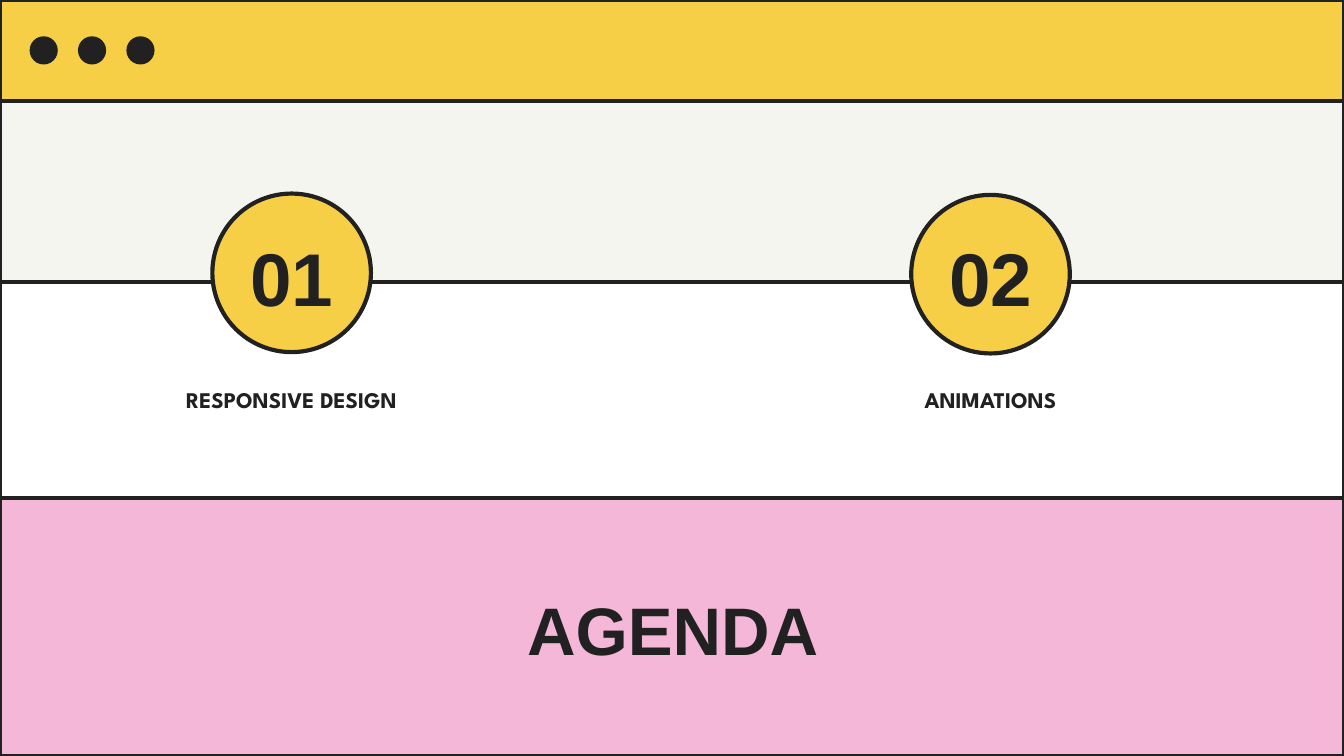
from pptx import Presentation
from pptx.dml.color import RGBColor
from pptx.enum.shapes import MSO_SHAPE
from pptx.enum.text import MSO_ANCHOR, PP_ALIGN
from pptx.util import Inches, Pt

RECTANGLE, OVAL = MSO_SHAPE.RECTANGLE, MSO_SHAPE.OVAL
TOP, BOTTOM = MSO_ANCHOR.TOP, MSO_ANCHOR.BOTTOM
CENTER = PP_ALIGN.CENTER
INK, YELLOW, CREAM, PINK = "212121", "F7CF46", "F5F5F0", "F4B7D8"
WIDTH = 10
HEIGHT = WIDTH * 9 / 16

presentation = Presentation()
presentation.slide_width = Inches(WIDTH)
presentation.slide_height = Inches(HEIGHT)
slide = presentation.slides.add_slide(presentation.slide_layouts[5])


def add_panel(kind, left, top, width, height, fill=None, outlined=True):
    """Add a flat shape with an optional fill and dark outline."""
    shape = slide.shapes.add_shape(
        kind, Inches(left), Inches(top), Inches(width), Inches(height))
    shape.shadow.inherit = False
    if fill:
        shape.fill.solid()
        shape.fill.fore_color.rgb = RGBColor.from_string(fill)
    else:
        shape.fill.background()
    if outlined:
        shape.line.color.rgb = RGBColor.from_string(INK)
        shape.line.width = Pt(2.25)
    else:
        shape.line.fill.background()


def write_text(shape, text, size, font_name="Arial", anchor=TOP):
    """Set one centred bold line with even insets."""
    frame = shape.text_frame
    frame.text = text
    frame.word_wrap = True
    frame.vertical_anchor = anchor
    frame.margin_left = frame.margin_right = Inches(0.1)
    frame.margin_top = frame.margin_bottom = Inches(0.1)
    paragraph = frame.paragraphs[0]
    paragraph.alignment = CENTER
    font = paragraph.runs[0].font
    font.name, font.size, font.bold = font_name, Pt(size), True
    font.color.rgb = RGBColor.from_string(INK)


# Browser window: frame, title bar with three buttons, two bands
add_panel(RECTANGLE, 0, 0, WIDTH, HEIGHT)
add_panel(RECTANGLE, 0, 0, WIDTH, 0.75, YELLOW)
for index in range(3):
    add_panel(OVAL, 0.22 + index * 0.36, 0.27, 0.21, 0.21, INK, outlined=False)
add_panel(RECTANGLE, 0, 0.75, WIDTH, 1.35, CREAM)
footer_height = 1.92
add_panel(RECTANGLE, 0, HEIGHT - footer_height, WIDTH, footer_height, PINK)

# The title is created with the slide, so bring it in front of the bands
title = slide.shapes.title
title.element.getparent().append(title.element)
title.left, title.top = Inches(2.04), Inches(4.28)
title.width, title.height = Inches(5.93), Inches(0.91)
write_text(title, "AGENDA", 36)

# Agenda items: numbered circle with a label below
circle_size, label_width = 1.18, 2.38
items = [("01", "RESPONSIVE DESIGN", 1.58, 1.44), ("02", "ANIMATIONS", 6.78, 1.45)]
for number, label, left, top in items:
    add_panel(OVAL, left, top, circle_size, circle_size, YELLOW)
    number_box = slide.shapes.add_textbox(
        Inches(left), Inches(1.58), Inches(circle_size), Inches(0.91))
    write_text(number_box, number, 40, anchor=BOTTOM)
    label_box = slide.shapes.add_textbox(
        Inches(left + (circle_size - label_width) / 2), Inches(2.77),
        Inches(label_width), Inches(0.55))
    write_text(label_box, label, 12, "League Spartan")
    label_box.text_frame.paragraphs[0].space_after = Pt(16)

presentation.save("out.pptx")
